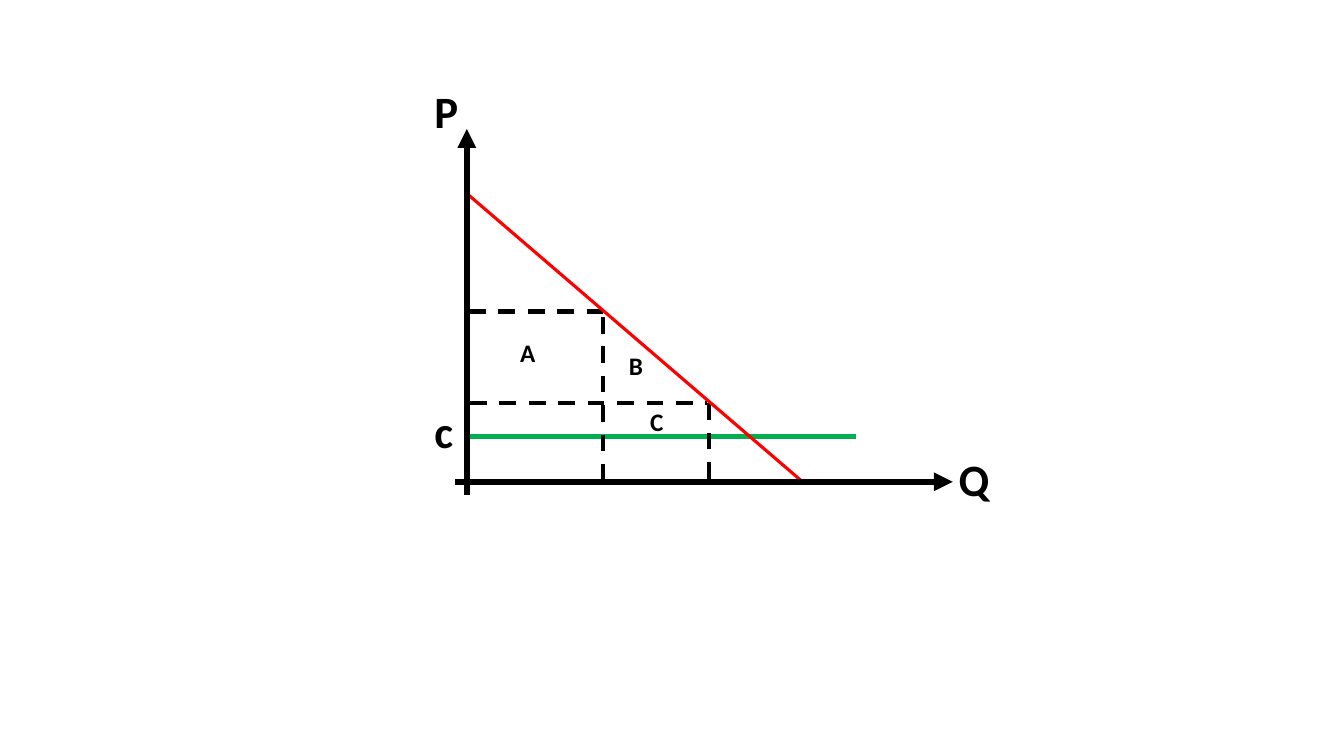
"""Builds a price-quantity diagram with a demand line, a cost line and areas A, B and C."""
from lxml import etree
from pptx import Presentation
from pptx import util as u
from pptx.dml.color import RGBColor
from pptx.enum import dml, shapes, text
from pptx.oxml.ns import qn

BLACK = RGBColor(0x00, 0x00, 0x00)
RED = RGBColor(0xFF, 0x00, 0x00)
GREEN = RGBColor(0x00, 0xB0, 0x50)

deck = Presentation()
deck.slide_width, deck.slide_height = u.Inches(13.33), u.Inches(7.5)
page = deck.slides.add_slide(deck.slide_layouts[6])

axis_x, axis_y = 4.63, 4.78
cost_y = 4.33
high_price, low_price = 3.09, 4.0
small_quantity, large_quantity = 5.98, 7.03


def add_line(start, end, color, width, dashed=False, arrow=False):
    line = page.shapes.add_connector(
        shapes.MSO_CONNECTOR.STRAIGHT, *[u.Inches(value) for value in start + end])
    line.line.color.rgb = color
    line.line.width = u.Pt(width)
    if dashed:
        line.line.dash_style = dml.MSO_LINE.DASH
    if arrow:
        outline = line.line._get_or_add_ln()
        etree.SubElement(outline, qn("a:tailEnd"), type="triangle")
    etree.SubElement(line._element.spPr, qn("a:effectLst"))


def add_label(letter, left, top, width, height, size):
    box = page.shapes.add_textbox(*[u.Inches(value) for value in (left, top, width, height)])
    frame = box.text_frame
    frame.word_wrap = True
    frame.auto_size = text.MSO_AUTO_SIZE.SHAPE_TO_FIT_TEXT
    frame.text = letter
    font = frame.paragraphs[0].runs[0].font
    font.name, font.size, font.bold = "Calibri", u.Pt(size), True
    font.color.rgb = BLACK


add_line((4.65, cost_y), (8.49, cost_y), GREEN, 3)

guides = [
    ((4.66, low_price), (7.01, low_price)),
    ((large_quantity, 4.75), (large_quantity, 3.95)),
    ((small_quantity, 4.77), (small_quantity, 3.07)),
    ((4.65, high_price), (6.05, high_price)),
]
for start, end in guides:
    add_line(start, end, BLACK, 3, dashed=True)

add_line((axis_x, 1.92), (7.96, axis_y), RED, 2.25)

for start, end in [((axis_x, 4.91), (axis_x, 1.28)), ((4.51, axis_y), (9.45, axis_y))]:
    add_line(start, end, BLACK, 4.5, arrow=True)

for letter, left, top in [("c", 4.21, 3.96), ("Q", 9.41, 4.43), ("P", 4.21, 0.78)]:
    add_label(letter, left, top, 0.51, 0.64, 32)

for letter, left, top in [("B", 6.14, 3.43), ("C", 6.35, 3.98), ("A", 5.06, 3.3)]:
    add_label(letter, left, top, 0.43, 0.4, 18)

deck.save("out.pptx")
